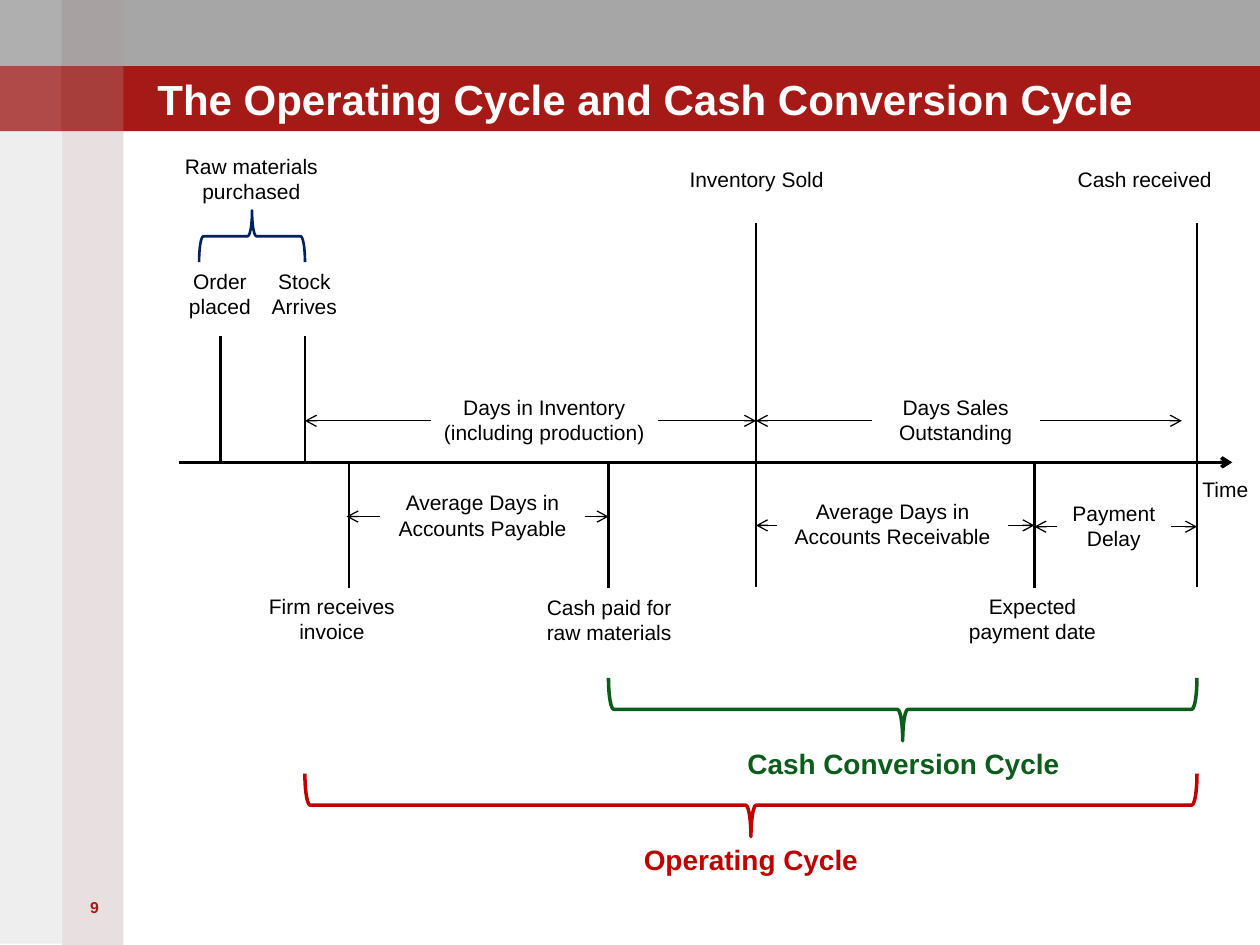
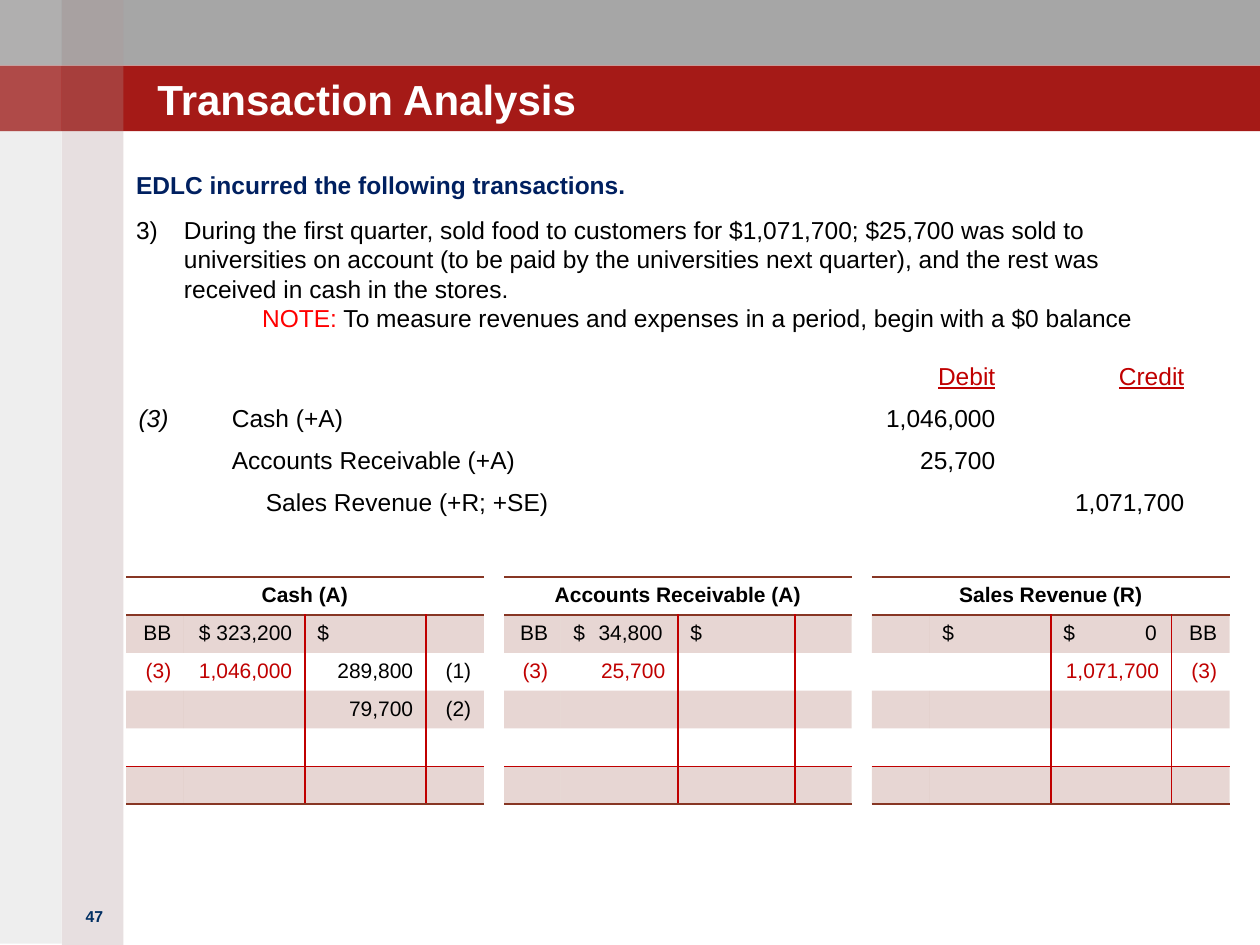
from dataclasses import dataclass

from lxml.etree import SubElement
from pptx import Presentation
from pptx.dml.color import RGBColor
from pptx.enum.shapes import MSO_CONNECTOR, MSO_SHAPE
from pptx.enum.text import MSO_ANCHOR, PP_ALIGN
from pptx.oxml.ns import qn
from pptx.util import Inches, Pt

PLAIN_TABLE = "{2D5ABB26-0587-4C30-8999-92F81FD0307C}"
LEFT, CENTER, RIGHT = PP_ALIGN.LEFT, PP_ALIGN.CENTER, PP_ALIGN.RIGHT


@dataclass(frozen=True)
class Theme:
    font: str = "Arial"
    black: str = "000000"
    white: str = "FFFFFF"
    grey: str = "A6A6A6"
    crimson: str = "A51A17"
    red: str = "C00000"
    note: str = "FF0000"
    navy: str = "002060"
    blue: str = "002E62"
    green: str = "0C5C1B"
    brown: str = "873624"
    rose: str = "A08284"
    stone: str = "938F8F"
    title: int = 24
    cycle: int = 16
    body: int = 14
    label: int = 12
    number: int = 9


T = Theme()


def apply(target, **values):
    for name, value in values.items():
        setattr(target, name, value)


def paint(fill, color, alpha=100):
    fill.solid()
    fill.fore_color.rgb = RGBColor.from_string(color)
    if alpha < 100:
        clr = fill._xPr.find(qn("a:solidFill"))[0]
        SubElement(clr, qn("a:alpha"), val=str(alpha * 1000))


def write(p, text, size, color=T.black, **style):
    r = p.add_run()
    r.text = text
    apply(r.font, name=T.font, size=Pt(size), **style)
    r.font.color.rgb = RGBColor.from_string(color)


def indent(p, left, first=0):
    pPr = p._p.get_or_add_pPr()
    pPr.set("marL", str(Inches(left)))
    pPr.set("indent", str(Inches(first)))
    return pPr


def tab_stop(p, at):
    tabs = SubElement(p._p.get_or_add_pPr(), qn("a:tabLst"))
    SubElement(tabs, qn("a:tab"), pos=str(Inches(at)), algn="r")


class Deck:
    def __init__(self):
        self.prs = Presentation()
        apply(self.prs, slide_width=Inches(10), slide_height=Inches(7.5))
        self.s = None

    def slide(self, title, number, number_top, number_color):
        self.s = self.prs.slides.add_slide(self.prs.slide_layouts[6])
        band = 0.52
        stripe = 0.49
        self.rect(0, 0, 10, band, T.grey)
        self.rect(0, band, 10, band, T.crimson)
        self.rect(stripe, 0, stripe, 7.5, T.rose, 25)
        self.rect(0, 0, stripe, 7.49, T.stone, 15)
        for top in (0, band):
            self.rect(stripe, top, stripe, band, T.white, 5)
            self.rect(0, top, stripe, band, T.white, 15)
        self.text(0.5, number_top, 0.5, number, T.number, number_color, bold=True)
        tf = self.frame(1.25, 0.31, 8.47, 0.67, inset=0)
        tf.vertical_anchor = MSO_ANCHOR.BOTTOM
        write(tf.paragraphs[0], title, T.title, T.white, bold=True)

    def rect(self, x, y, w, h, color, alpha=100):
        sp = self.s.shapes.add_shape(
            MSO_SHAPE.RECTANGLE, Inches(x), Inches(y), Inches(w), Inches(h))
        sp.shadow.inherit = False
        sp.line.fill.background()
        paint(sp.fill, color, alpha)

    def frame(self, x, y, w, h, inset=None):
        tf = self.s.shapes.add_textbox(
            Inches(x), Inches(y), Inches(w), Inches(h)).text_frame
        tf.word_wrap = True
        if inset is not None:
            sides = ("left", "right", "top", "bottom")
            apply(tf, **{f"margin_{side}": Inches(inset) for side in sides})
        return tf

    def text(self, x, y, w, text, size=T.label, color=T.black, h=0.5, **style):
        tf = self.frame(x, y, w, h)
        p = tf.paragraphs[0]
        p.alignment = CENTER
        write(p, text, size, color, **style)
        return tf

    def line(self, x1, y1, x2, y2, width=1.5, arrow=False):
        c = self.s.shapes.add_connector(
            MSO_CONNECTOR.STRAIGHT, Inches(x1), Inches(y1), Inches(x2), Inches(y2))
        c.line.width = Pt(width)
        c.line.color.rgb = RGBColor.from_string(T.black)
        if arrow:
            SubElement(c.line._get_or_add_ln(), qn("a:tailEnd"), type="arrow")
        SubElement(c._element.spPr, qn("a:effectLst"))

    def brace(self, x1, x2, top, height, rotation, color, width):
        span = x2 - x1
        sp = self.s.shapes.add_shape(
            MSO_SHAPE.LEFT_BRACE, Inches((x1 + x2 - height) / 2),
            Inches(top + (height - span) / 2), Inches(height), Inches(span))
        sp.rotation = rotation
        sp.shadow.inherit = False
        sp.fill.background()
        sp.line.width = Pt(width)
        sp.line.color.rgb = RGBColor.from_string(color)

    def table(self, x, y, widths, rows, row_height):
        tbl = self.s.shapes.add_table(
            rows, len(widths), Inches(x), Inches(y),
            Inches(sum(widths)), Inches(rows * row_height)).table
        apply(tbl, first_row=False, horz_banding=False)
        tbl._tbl.tblPr.find(qn("a:tableStyleId")).text = PLAIN_TABLE
        for col, width in zip(tbl.columns, widths):
            col.width = Inches(width)
        for row in tbl.rows:
            row.height = Inches(row_height)
        return tbl

    def cell(self, cell, text, size, align, color=T.black, edges=None, band=False, **style):
        tcPr = cell._tc.get_or_add_tcPr()
        for side, edge_color in (edges or {}).items():
            ln = SubElement(tcPr, qn(f"a:ln{side}"), w=str(Pt(1)))
            fill = SubElement(ln, qn("a:solidFill"))
            SubElement(fill, qn("a:srgbClr"), val=edge_color)
        if band:
            paint(cell.fill, T.brown, 20)
        else:
            cell.fill.background()
        p = cell.text_frame.paragraphs[0]
        p.alignment = align
        if text:
            write(p, text, size, color, **style)
        else:
            SubElement(p._p, qn("a:endParaRPr"), sz=str(size * 100))
        return p

    def t_account(self, x, widths, name, entries, new_columns):
        tbl = self.table(x, 4.58, widths, 6, 0.29)
        tbl.cell(0, 0).merge(tbl.cell(0, 3))
        for row in range(6):
            for col in range(4):
                edges = {}
                if row and col in (2, 3):
                    edges["L"] = T.red
                if row and col in (1, 2):
                    edges["R"] = T.red
                if row in (0, 5):
                    edges["T"] = T.red if row else T.brown
                if row in (0, 4, 5):
                    edges["B"] = T.red if row == 4 else T.brown
                text = entries.get((row, col), "")
                align = RIGHT
                if row == 0:
                    text, align = name if col == 0 else "", CENTER
                elif text == "$" or "\t" in text:
                    align = LEFT
                is_new = row == 2 and col in new_columns
                p = self.cell(tbl.cell(row, col), text, T.label, align,
                              T.red if is_new else T.black, edges,
                              band=row % 2 == 1, bold=row == 0)
                if "\t" in text:
                    tab_stop(p, widths[col] - 0.22)


def cycle_slide(d):
    d.slide("The Operating Cycle and Cash Conversion Cycle", "9", 7.08, T.crimson)
    axis = 3.67
    order, stock, invoice, paid, sold, expected, received = (
        1.75, 2.42, 2.77, 4.83, 6, 8.21, 9.5)

    d.line(1.42, axis, 9.78, axis, 2, arrow=True)
    d.text(9.44, 3.73, 0.57, "Time", h=0.3).word_wrap = False
    for x in (order, stock):
        d.line(x, axis, x, axis - 1)
    for x in (invoice, paid, expected):
        d.line(x, axis + 1, x, axis)
    for x in (sold, received):
        d.line(x, 4.66, x, 1.77)

    for x, y, w, label in (
        (1.35, 2.08, 0.79, "Order placed"),
        (2.02, 2.08, 0.79, "Stock Arrives"),
        (1.3, 1.17, 1.39, "Raw materials purchased"),
        (5.31, 1.27, 1.39, "Inventory Sold"),
        (8.39, 1.27, 1.39, "Cash received"),
        (2.02, 4.66, 1.23, "Firm receives invoice"),
        (4.22, 4.67, 1.23, "Cash paid for raw materials"),
        (7.58, 4.66, 1.23, "Expected payment date"),
    ):
        d.text(x, y, w, label)

    for start, end, x, w, y, label in (
        (stock, sold, 3.42, 1.8, 3.34, "Days in Inventory (including production)"),
        (sold, 9.38, 6.92, 1.33, 3.34, "Days Sales Outstanding"),
        (2.75, paid, 3.02, 1.62, 4.1, "Average Days in Accounts Payable"),
        (sold, expected, 6.17, 1.83, 4.17, "Average Days in Accounts Receivable"),
        (expected, received, 8.39, 0.9, 4.18, "Payment Delay"),
    ):
        d.text(x, y - 0.26, w, label)
        d.line(x, y, start, y, 0.75, arrow=True)
        d.line(x + w, y, end, y, 0.75, arrow=True)

    d.brace(1.58, stock, 1.67, 0.41, 90, T.navy, 1.5)
    for x, top, label_x, label, color in (
        (paid, 5.38, 5.6, "Cash Conversion Cycle", T.green),
        (stock, 6.14, 4.39, "Operating Cycle", T.red),
    ):
        d.brace(x, received, top, 0.5, 270, color, 2)
        d.text(label_x, top + 0.5, 3.14, label, T.cycle, color, h=0.37, bold=True)


def transaction_slide(d):
    d.slide("Transaction Analysis", "47", 7.15, T.blue)
    tf = d.frame(1.08, 1.35, 8.42, 1.4, inset=0)
    p = tf.paragraphs[0]
    p.space_after = Pt(6)
    write(p, "EDLC incurred the following transactions.", T.body, T.navy, bold=True)
    p = tf.add_paragraph()
    p.space_before = Pt(2.8)
    SubElement(indent(p, 0.38, -0.38), qn("a:buAutoNum"), type="arabicParenR", startAt="3")
    write(p, "During the first quarter, sold food to customers for $1,071,700; "
             "$25,700 was sold to universities on account (to be paid by the "
             "universities next quarter), and the rest was received in cash in "
             "the stores.", T.body)
    p = tf.add_paragraph()
    indent(p, 1)
    write(p, "NOTE:", T.body, T.note)
    write(p, " To measure revenues and expenses in a period, begin with a $0 balance", T.body)

    journal = (
        ("", "", "Debit", "Credit"),
        ("(3)", "Cash (+A)", "1,046,000", ""),
        ("", "Accounts Receivable (+A)", "25,700", ""),
        ("", "Sales Revenue (+R; +SE)", "", "1,071,700"),
    )
    tbl = d.table(1, 2.83, (0.74, 5.01, 1.25, 1.5), len(journal), 0.32)
    for row, texts in enumerate(journal):
        for col, text in enumerate(texts):
            p = d.cell(tbl.cell(row, col), text, T.body, RIGHT if col > 1 else LEFT,
                       T.black if row else T.red, underline=row == 0, italic=col == 0)
            if (row, col) == (3, 1):
                indent(p, 0.27)

    wide = (0.46, 0.96, 0.96, 0.46)
    narrow = (0.45, 0.93, 0.93, 0.45)
    d.t_account(1, wide, "Cash (A)", {
        (1, 0): "BB", (1, 1): "$ 323,200", (1, 2): "$",
        (2, 0): "(3)", (2, 1): "1,046,000", (2, 2): "289,800", (2, 3): "(1)",
        (3, 2): "79,700", (3, 3): "(2)"}, (0, 1))
    d.t_account(4, narrow, "Accounts Receivable (A)", {
        (1, 0): "BB", (1, 1): "$\t34,800", (1, 2): "$",
        (2, 0): "(3)", (2, 1): "25,700"}, (0, 1))
    d.t_account(6.92, wide, "Sales Revenue (R)", {
        (1, 1): "$", (1, 2): "$\t0", (1, 3): "BB",
        (2, 2): "1,071,700", (2, 3): "(3)"}, (2, 3))


def main():
    d = Deck()
    cycle_slide(d)
    transaction_slide(d)
    d.prs.save("out.pptx")


if __name__ == "__main__":
    main()
